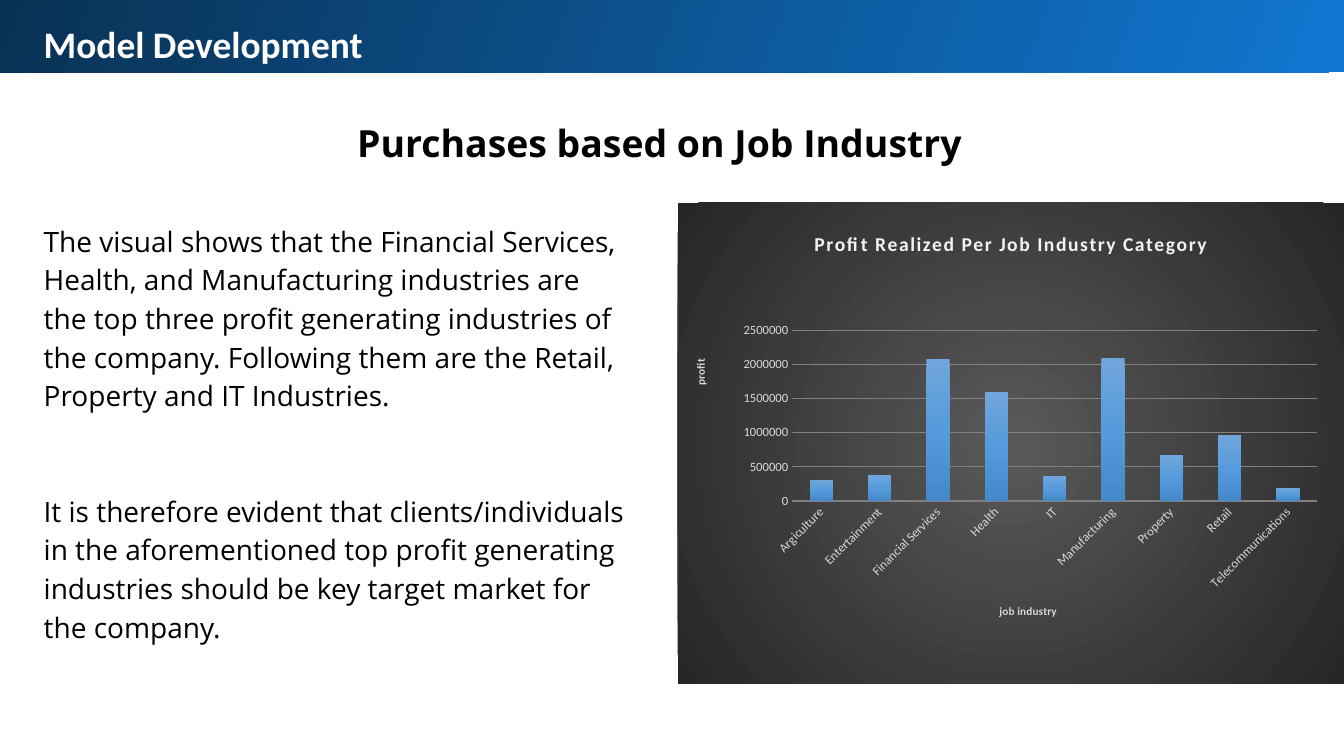
import lxml.etree
import pptx
import pptx.chart.data
import pptx.dml.color
import pptx.enum.chart
import pptx.enum.shapes
import pptx.enum.text
import pptx.oxml
import pptx.oxml.ns
import pptx.util

Pt = pptx.util.Pt
qn = pptx.oxml.ns.qn

HEADER = "Model Development"
HEADING = "Purchases based on Job Industry"
FINDING = (
    "The visual shows that the Financial Services, Health, and Manufacturing "
    "industries are the top three profit generating industries of the company. "
    "Following them are the Retail, Property and IT Industries."
)
CONCLUSION = (
    "It is therefore evident that clients/individuals in the aforementioned top "
    "profit generating industries should be key target market for the company."
)
CHART_TITLE = "Profit Realized Per Job Industry Category"
CATEGORY_TITLE = "job industry"
VALUE_TITLE = "profit"
PROFITS = {
    "Argiculture": 300000,
    "Entertainment": 380000,
    "Financial Services": 2080000,
    "Health": 1600000,
    "IT": 370000,
    "Manufacturing": 2090000,
    "Property": 680000,
    "Retail": 960000,
    "Telecommunications": 190000,
}

THEME = {
    "display": "Calibri",
    "body": "Open Sans",
    "white": "FFFFFF",
    "black": "000000",
    "chart_title": "F2F2F2",
    "chart_text": "D9D9D9",
    "grid": "808080",
    "band": [(0, "1077D2"), (100, "093153")],
    "panel": [(0, "595959"), (100, "262626")],
    "bars": [(0, "71A6DB"), (50, "559BDB"), (100, "448ACA")],
    "title_size": 26.7,
    "text_size": 20,
    "chart_title_size": 14,
    "chart_size": 10,
    "tick_size": 9,
    "axis_title_size": 8,
}

WIDTH, HEIGHT = 960, 540
MARGIN = 21.6
FULL_WIDTH = WIDTH - 2.8 * MARGIN
COLUMN_WIDTH = 434
INSET = 9.6
CHART_BOX = (484, 144.9, 476, 343.6)


def style(font, name, size, color, bold=False):
    font.name = name
    font.size = Pt(size)
    font.bold = bold
    font.color.rgb = pptx.dml.color.RGBColor.from_string(color)


def gradient(stops, angle=None):
    marks = "".join(
        f'<a:gs pos="{pos * 1000}"><a:srgbClr val="{color}"/></a:gs>'
        for pos, color in stops
    )
    if angle is None:
        course = (
            '<a:path path="circle">'
            '<a:fillToRect l="50000" t="50000" r="50000" b="50000"/></a:path>'
        )
    else:
        course = f'<a:lin ang="{angle * 60000}" scaled="0"/>'
    return pptx.oxml.parse_xml(
        f'<a:gradFill {pptx.oxml.ns.nsdecls("a")} rotWithShape="1">'
        f"<a:gsLst>{marks}</a:gsLst>{course}</a:gradFill>"
    )


def fill_gradient(fill, owner, stops, angle):
    fill.gradient()
    old = owner.find(".//" + qn("a:gradFill"))
    old.getparent().replace(old, gradient(stops, angle))


def place(element, index, x, y, w=None, h=None):
    for old in element.findall(qn("c:layout")):
        element.remove(old)
    target = "" if w is None else '<c:layoutTarget val="inner"/>'
    sizes = [(k, v) for k, v in zip("xywh", (x, y, w, h)) if v is not None]
    modes = "".join(f'<c:{k}Mode val="edge"/>' for k in "xy")
    values = "".join(f'<c:{k} val="{v}"/>' for k, v in sizes)
    element.insert(index, pptx.oxml.parse_xml(
        f'<c:layout {pptx.oxml.ns.nsdecls("c")}><c:manualLayout>'
        f"{target}{modes}{values}</c:manualLayout></c:layout>"
    ))


def add_text(s, text, box, font, size, color, bold=False, centred=False, spacing=1.15):
    sp = s.shapes.add_textbox(*map(Pt, box))
    tf = sp.text_frame
    tf.text = text
    tf.word_wrap = True
    tf.auto_size = pptx.enum.text.MSO_AUTO_SIZE.SHAPE_TO_FIT_TEXT
    tf.margin_left = tf.margin_right = tf.margin_top = tf.margin_bottom = Pt(INSET)
    p = tf.paragraphs[0]
    p.line_spacing = spacing
    if centred:
        p.alignment = pptx.enum.text.PP_ALIGN.CENTER
    style(p.runs[0].font, font, size, color, bold)


def add_title(owner, title, text, size, color, x, y):
    title.text_frame.text = text
    r = title.text_frame.paragraphs[0].runs[0]
    style(r.font, THEME["display"], size, color, True)
    place(owner.find(qn("c:title")), 1, x, y)
    return r


def add_profit_chart(s):
    data = pptx.chart.data.CategoryChartData()
    data.categories = list(PROFITS)
    data.add_series("Series 1", list(PROFITS.values()))
    kind = pptx.enum.chart.XL_CHART_TYPE.COLUMN_CLUSTERED
    chart = s.shapes.add_chart(kind, *map(Pt, CHART_BOX), data).chart
    style(chart.font, THEME["display"], THEME["chart_size"], THEME["black"])
    chart.has_legend = False
    root = chart.element if hasattr(chart, "element") else chart._chartSpace
    body = root.find(qn("c:chart"))

    panel = pptx.oxml.parse_xml(
        f'<c:spPr {pptx.oxml.ns.nsdecls("c", "a")}><a:ln><a:noFill/></a:ln></c:spPr>'
    )
    panel.insert(0, gradient(THEME["panel"]))
    body.addnext(panel)
    place(body.find(qn("c:plotArea")), 0, 0.172, 0.265, 0.788, 0.355)

    r = add_title(body, chart.chart_title, CHART_TITLE, THEME["chart_title_size"],
                  THEME["chart_title"], 0.2, 0.05)
    r.font._element.set("spc", "100")

    axes = (
        (chart.category_axis, CATEGORY_TITLE, 0.48, 0.83),
        (chart.value_axis, VALUE_TITLE, 0.02, 0.32),
    )
    for axis, text, x, y in axes:
        axis.major_tick_mark = pptx.enum.chart.XL_TICK_MARK.NONE
        axis.minor_tick_mark = pptx.enum.chart.XL_TICK_MARK.NONE
        axis.format.line.fill.background()
        style(axis.tick_labels.font, THEME["display"], THEME["tick_size"], THEME["chart_text"])
        add_title(axis._element, axis.axis_title, text, THEME["axis_title_size"],
                  THEME["chart_text"], x, y)

    labels = chart.category_axis._element.find(qn("c:txPr"))
    labels.find(qn("a:bodyPr")).set("rot", "-2700000")
    turned = chart.value_axis.axis_title.text_frame._txBody.find(qn("a:bodyPr"))
    turned.set("rot", "-5400000")
    turned.set("vert", "horz")

    values = chart.value_axis
    values.minimum_scale, values.maximum_scale, values.major_unit = 0, 2500000, 500000
    values.has_major_gridlines = True
    line = values.major_gridlines.format.line
    line.color.rgb = pptx.dml.color.RGBColor.from_string(THEME["grid"])
    line.width = Pt(0.75)

    plot = chart.plots[0]
    plot.gap_width = 150
    plot.vary_by_categories = False
    series = plot.series[0]
    fill_gradient(series.format.fill, series._element, THEME["bars"], 90)


def main():
    prs = pptx.Presentation()
    prs.slide_width, prs.slide_height = Pt(WIDTH), Pt(HEIGHT)
    s = prs.slides.add_slide(prs.slide_layouts[6])

    band = s.shapes.add_shape(
        pptx.enum.shapes.MSO_SHAPE.RECTANGLE, *map(Pt, (0, 0.5, 965, 51))
    )
    band.shadow.inherit = False
    band.line.fill.background()
    fill_gradient(band.fill, band._element, THEME["band"], 200)

    add_text(s, HEADER, (MARGIN, 5.8, FULL_WIDTH, 51.8), THEME["display"],
             THEME["title_size"], THEME["white"], bold=True, spacing=1)
    add_text(s, HEADING, (MARGIN, 71.3, FULL_WIDTH, 56.9), THEME["body"],
             THEME["title_size"], THEME["black"], bold=True, centred=True)
    for text, top, height in ((FINDING, 146.9, 158.4), (CONCLUSION, 339.8, 131)):
        add_text(s, text, (MARGIN, top, COLUMN_WIDTH, height), THEME["body"],
                 THEME["text_size"], THEME["black"])
    add_profit_chart(s)
    prs.save("out.pptx")


if __name__ == "__main__":
    main()
